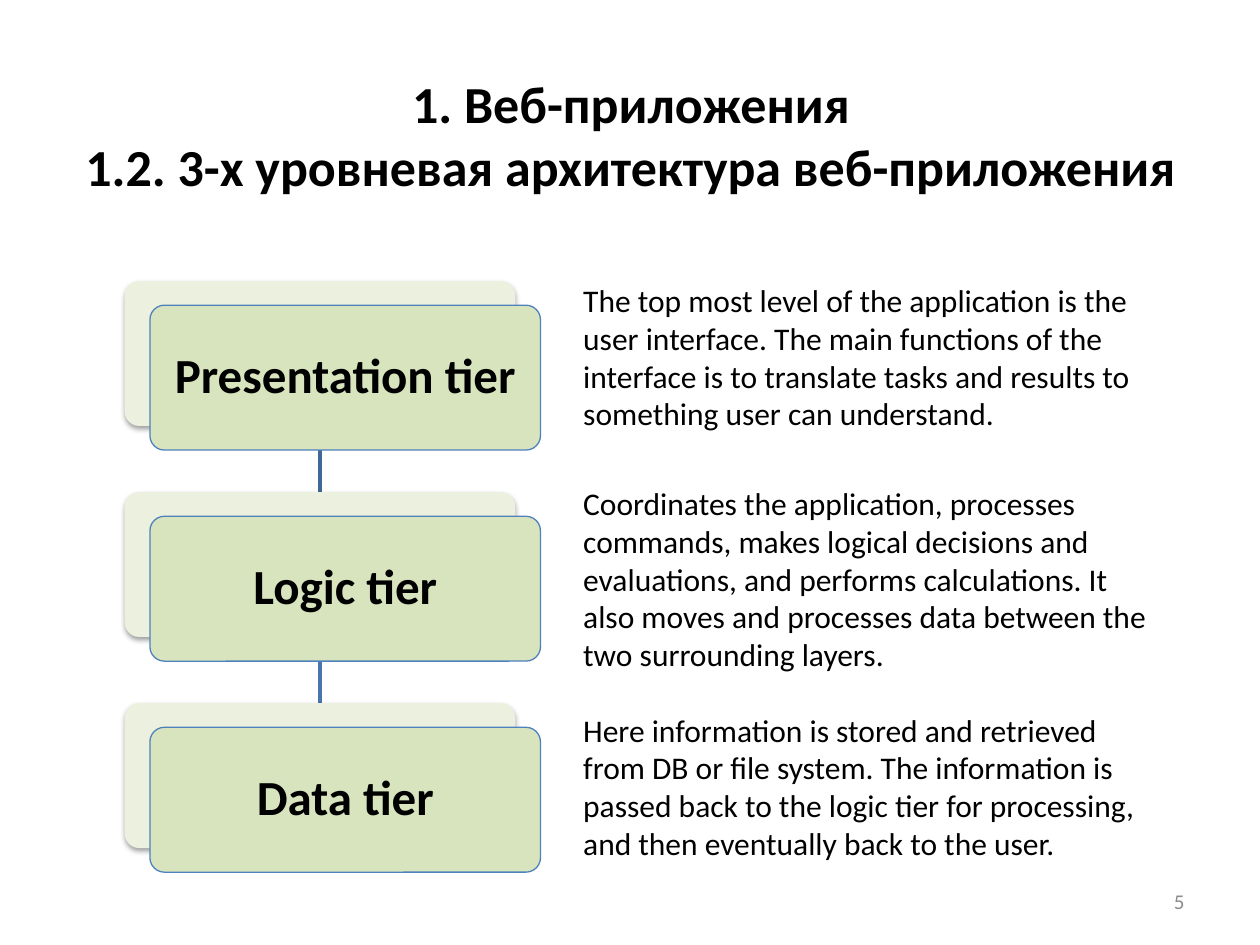
from lxml import etree
from pptx import Presentation
from pptx.dml.color import RGBColor
from pptx.enum import shapes, text
from pptx.oxml import ns, parse_xml
from pptx.util import Pt

# Content
TITLE = "1. Веб-приложения\v1.2. 3-х уровневая архитектура веб-приложения"
PAGE_NUMBER = "5"
# Tier name, description, description top, width and height
TIERS = [
    ("Presentation tier",
     "The top most level of the application is the user interface. The main "
     "functions of the interface is to translate tasks and results to "
     "something user can understand.", 157, 335, 94.3),
    ("Logic tier",
     "Coordinates the application, processes commands, makes logical decisions "
     "and evaluations, and performs calculations. It also moves and processes "
     "data between the two surrounding layers.", 273, 340, 116.6),
    ("Data tier",
     "Here information is stored and retrieved from DB or file system. The "
     "information is passed back to the logic tier for processing, and then "
     "eventually back to the user.", 402.5, 340, 94.3),
]
COLORS = {"text": "000000", "number": "8C8C8C", "back": "EBF1DE",
          "card": "D7E4BD", "outline": "4F81BD"}
LINK_COLORS = ["3F6797", "4875AC"]

# Card grid, in points
CARD_LEFT, CARD_TOP = 71.3, 160.6
CARD_WIDTH, CARD_HEIGHT = 223.2, 82.8
CARD_PITCH = 120.6
SHIFT_X, SHIFT_Y = 14.4, 13.8
DESCRIPTION_LEFT = 326.2

SHADOW = (f'<a:effectLst {ns.nsdecls("a")}>'
          '<a:outerShdw blurRad="40000" dist="20000" dir="5400000" rotWithShape="0">'
          '<a:srgbClr val="000000"><a:alpha val="38000"/></a:srgbClr>'
          '</a:outerShdw></a:effectLst>')


def rgb(value):
    return RGBColor.from_string(value)


def write(shape, words, size, color="text", bold=False,
          align=text.PP_ALIGN.LEFT, anchor=text.MSO_ANCHOR.TOP):
    frame = shape.text_frame
    frame.text = words
    frame.word_wrap = True
    frame.vertical_anchor = anchor
    paragraph = frame.paragraphs[0]
    paragraph.alignment = align
    for run in paragraph.runs:
        run.font.name = "Calibri"
        run.font.size = Pt(size)
        run.font.bold = bold
        run.font.color.rgb = rgb(COLORS[color])
    return frame


def add_card(slide, left, top, fill):
    card = slide.shapes.add_shape(
        shapes.MSO_SHAPE.ROUNDED_RECTANGLE,
        Pt(left), Pt(top), Pt(CARD_WIDTH), Pt(CARD_HEIGHT))
    card.adjustments[0] = 0.1
    card.shadow.inherit = False
    card.fill.solid()
    card.fill.fore_color.rgb = rgb(COLORS[fill])
    return card


def add_link(slide, top, bottom, color):
    middle = Pt(CARD_LEFT + CARD_WIDTH / 2)
    link = slide.shapes.add_connector(
        shapes.MSO_CONNECTOR.STRAIGHT, middle, Pt(top), middle, Pt(bottom))
    link.line.width = Pt(2)
    link.line.color.rgb = rgb(color)
    etree.SubElement(link._element.spPr, ns.qn("a:effectLst"))


def add_tier_cards(slide, name, top):
    back = add_card(slide, CARD_LEFT, top, "back")
    back.line.fill.background()
    properties = back._element.spPr
    properties.replace(properties.find(ns.qn("a:effectLst")), parse_xml(SHADOW))

    front = add_card(slide, CARD_LEFT + SHIFT_X, top + SHIFT_Y, "card")
    front.line.color.rgb = rgb(COLORS["outline"])
    front.line.width = Pt(0.75)
    frame = write(front, name, 28, bold=True, align=text.PP_ALIGN.CENTER,
                  anchor=text.MSO_ANCHOR.MIDDLE)
    frame.margin_left = frame.margin_right = Pt(8)
    frame.paragraphs[0].line_spacing = 0.9


def main():
    presentation = Presentation()
    presentation.slide_width, presentation.slide_height = Pt(720), Pt(540)
    slide = presentation.slides.add_slide(presentation.slide_layouts[5])

    # Title, lifted by its bottom margin
    title = slide.shapes.title
    title.left, title.top, title.width, title.height = map(Pt, (36.7, 49.7, 648, 90))
    frame = write(title, TITLE, 29.7, bold=True, align=text.PP_ALIGN.CENTER,
                  anchor=text.MSO_ANCHOR.MIDDLE)
    frame.auto_size = text.MSO_AUTO_SIZE.NONE
    frame.margin_top, frame.margin_bottom = Pt(0), Pt(36)

    # Page number
    number = slide.shapes.add_textbox(Pt(516), Pt(500.5), Pt(168), Pt(28.8))
    write(number, PAGE_NUMBER, 12, "number", align=text.PP_ALIGN.RIGHT,
          anchor=text.MSO_ANCHOR.MIDDLE)

    # Links lie behind the cards
    tops = [CARD_TOP + CARD_PITCH * index for index in range(len(TIERS))]
    for top, next_top, color in zip(tops, tops[1:], LINK_COLORS):
        add_link(slide, top + CARD_HEIGHT, next_top, color)

    # Tiers with their descriptions
    for top, (name, description, box_top, width, height) in zip(tops, TIERS):
        add_tier_cards(slide, name, top)
        box = slide.shapes.add_textbox(
            Pt(DESCRIPTION_LEFT), Pt(box_top), Pt(width), Pt(height))
        write(box, description, 18)

    presentation.save("out.pptx")


if __name__ == "__main__":
    main()
